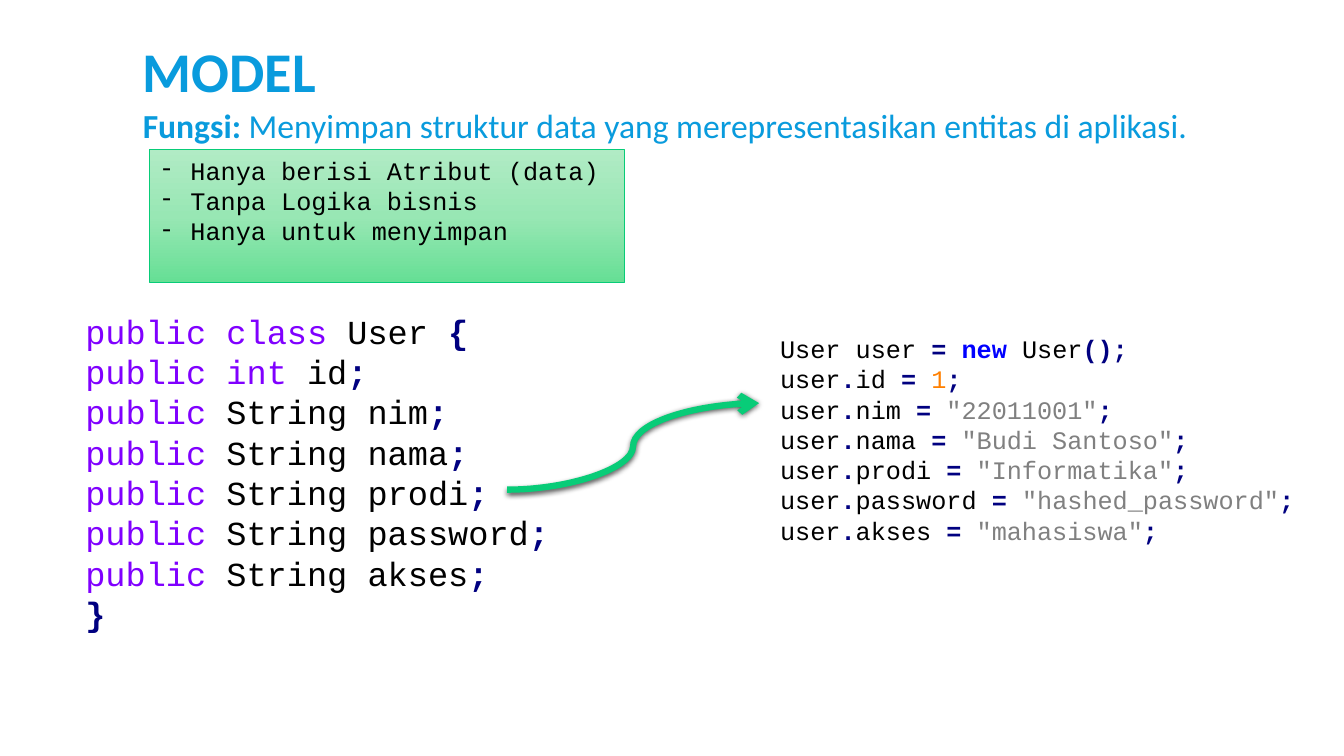
import lxml.etree
import pptx
import pptx.dml.color
import pptx.enum.shapes
import pptx.enum.text
import pptx.oxml.ns
import pptx.util

Cm, Pt = pptx.util.Cm, pptx.util.Pt
RGBColor = pptx.dml.color.RGBColor
qn = pptx.oxml.ns.qn

SKY = RGBColor(0x09, 0x9B, 0xDD)
BLACK = RGBColor(0, 0, 0)
PURPLE = RGBColor(0x80, 0x00, 0xFF)
NAVY = RGBColor(0x00, 0x00, 0x80)
BLUE = RGBColor(0x00, 0x00, 0xFF)
ORANGE = RGBColor(0xFF, 0x80, 0x00)
GRAY = RGBColor(0x80, 0x80, 0x80)
GREEN = RGBColor(0x08, 0xCC, 0x78)
GREEN_STOPS = [
    (0, RGBColor(0xB1, 0xEB, 0xC5)),
    (50, RGBColor(0x98, 0xE7, 0xB4)),
    (100, RGBColor(0x66, 0xDF, 0x95)),
]
SANS, MONO = "Calibri", "Courier New"

NOTES = ["Hanya berisi Atribut (data)", "Tanpa Logika bisnis", "Hanya untuk menyimpan"]
FIELDS = ["nim", "nama", "prodi", "password", "akses"]
VALUES = ["22011001", "Budi Santoso", "Informatika", "hashed_password", "mahasiswa"]


def sub(parent, tag, **attrs):
    return lxml.etree.SubElement(parent, qn(tag), attrs)


def add_lines(tf, lines, font, size):
    """Write one paragraph per line; a line is a list of (text, colour, bold)."""
    for i, line in enumerate(lines):
        p = tf.paragraphs[0] if i == 0 else tf.add_paragraph()
        p.alignment = pptx.enum.text.PP_ALIGN.LEFT
        for text, color, bold in line:
            r = p.add_run()
            r.text = text
            r.font.name = font
            r.font.size = Pt(size)
            r.font.bold = bold
            r.font.color.rgb = color


def add_text(slide, left, top, width, height, lines, font, size):
    sp = slide.shapes.add_textbox(Cm(left), Cm(top), Cm(width), Cm(height))
    tf = sp.text_frame
    tf.word_wrap = True
    add_lines(tf, lines, font, size)
    return tf


def add_note_box(slide, left, top, width, height, notes):
    sp = slide.shapes.add_shape(pptx.enum.shapes.MSO_SHAPE.RECTANGLE,
                                Cm(left), Cm(top), Cm(width), Cm(height))
    sp.shadow.inherit = False
    sp.line.color.rgb = GREEN
    sp.line.width = Pt(0.75)
    sp.fill.gradient()
    sp.fill.gradient_angle = 270
    stops = sp._element.spPr.find(".//" + qn("a:gsLst"))
    stops.clear()
    for pos, color in GREEN_STOPS:
        sub(sub(stops, "a:gs", pos=str(pos * 1000)), "a:srgbClr", val=str(color))

    tf = sp.text_frame
    tf.word_wrap = True
    tf.vertical_anchor = pptx.enum.text.MSO_ANCHOR.TOP
    add_lines(tf, [[(note, BLACK, False)] for note in notes], MONO, 18)
    indent = Cm(0.79)
    for p in tf.paragraphs:
        pPr = p._p.get_or_add_pPr()
        pPr.set("marL", str(indent))
        pPr.set("indent", str(-indent))
        sub(pPr, "a:buFont", typeface=MONO)
        sub(pPr, "a:buChar", char="-")


def add_curved_arrow(slide, x1, y1, x2, y2):
    cxn = slide.shapes.add_connector(pptx.enum.shapes.MSO_CONNECTOR.CURVE,
                                     Cm(x1), Cm(y1), Cm(x2), Cm(y2))
    cxn.line.color.rgb = GREEN
    cxn.line.width = Pt(4.5)
    sub(cxn.line._get_or_add_ln(), "a:tailEnd", type="arrow")
    effects = sub(cxn._element.spPr, "a:effectLst")
    shadow = sub(effects, "a:outerShdw", blurRad=str(Pt(4)), dist=str(Pt(1.2)),
                 dir="5400000", algn="ctr", rotWithShape="0")
    sub(sub(shadow, "a:srgbClr", val=str(BLACK)), "a:alpha", val="68000")


def declaration(keyword, name, end=";"):
    return [(keyword, PURPLE, False), (" " + name, BLACK, False), (end, NAVY, True)]


def assignment(field, value, color):
    return [("user", BLACK, False), (".", NAVY, True), (field + " ", BLACK, False),
            ("= ", NAVY, True), (value, color, False), (";", NAVY, True)]


def main():
    prs = pptx.Presentation()
    prs.slide_width, prs.slide_height = Cm(33.87), Cm(19.05)
    slide = prs.slides.add_slide(prs.slide_layouts[6])

    title = add_text(slide, 3.35, 0.79, 27.18, 2.21, [[("MODEL", SKY, True)]], SANS, 40)
    title.vertical_anchor = pptx.enum.text.MSO_ANCHOR.MIDDLE
    title.paragraphs[0].line_spacing = 0.85
    purpose = [("Fungsi: ", SKY, True),
               ("Menyimpan struktur data yang merepresentasikan entitas di aplikasi.", SKY, False)]
    add_text(slide, 3.35, 2.51, 27.69, 1.27, [purpose], SANS, 24)

    user_class = [declaration("public class", "User ", "{"), declaration("public int", "id")]
    user_class += [declaration("public", "String " + field) for field in FIELDS]
    user_class.append([("}", NAVY, True)])
    add_text(slide, 1.9, 7.7, 16.94, 8.46, user_class, MONO, 24)

    add_note_box(slide, 3.76, 3.78, 11.99, 3.33, NOTES)

    usage = [[("User user ", BLACK, False), ("= ", NAVY, True), ("new", BLUE, True),
              (" User", BLACK, False), ("();", NAVY, True)],
             assignment("id", "1", ORANGE)]
    usage += [assignment(field, f'"{value}"', GRAY) for field, value in zip(FIELDS, VALUES)]
    add_text(slide, 19.41, 8.28, 13.69, 5.64, usage, MONO, 18)

    add_curved_arrow(slide, 12.78, 12.34, 19.13, 10.16)
    prs.save("out.pptx")


if __name__ == "__main__":
    main()
